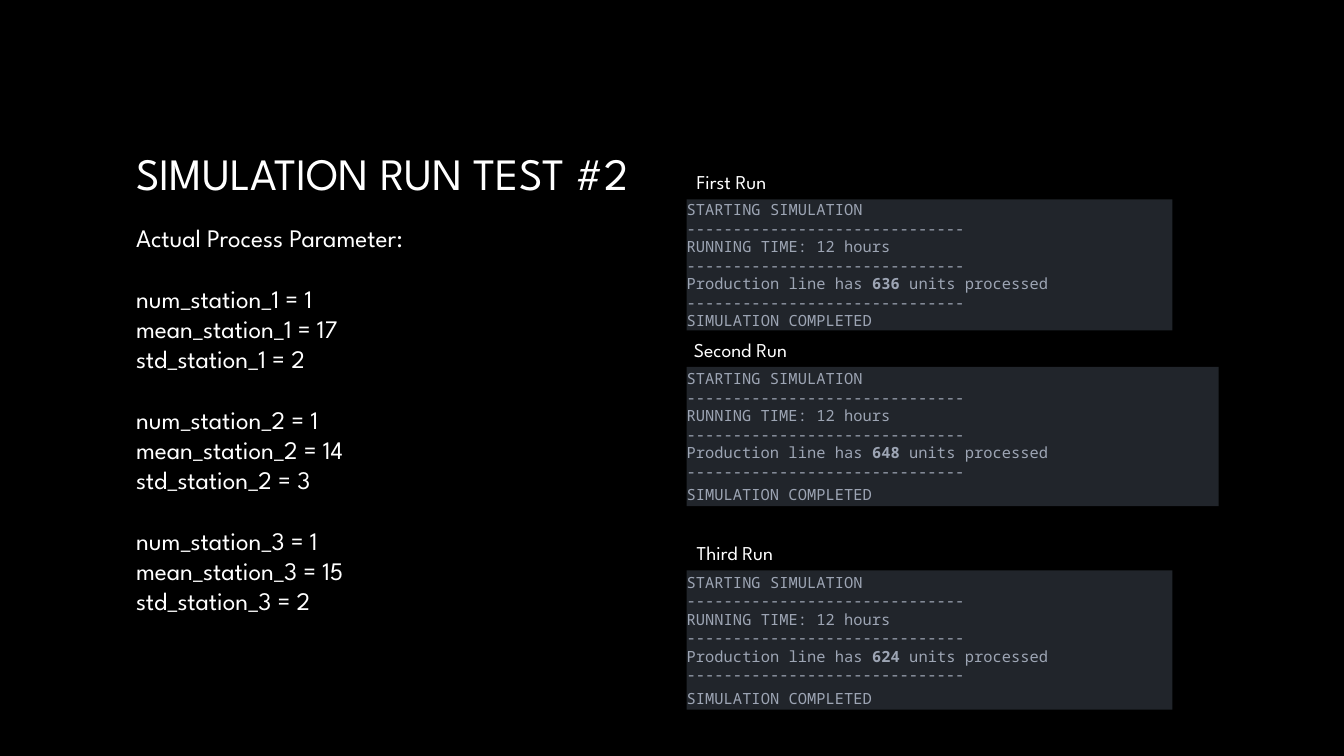
"""Build the slide on the second simulation run test."""
import pptx
import pptx.util
import pptx.dml.color
import pptx.enum.shapes
import pptx.enum.text
from pptx.oxml.xmlchemy import OxmlElement

Pt = pptx.util.Pt
RGB = pptx.dml.color.RGBColor
ALIGN = pptx.enum.text.PP_ALIGN
ANCHOR = pptx.enum.text.MSO_ANCHOR

BLACK = RGB(0x00, 0x00, 0x00)
WHITE = RGB(0xFF, 0xFF, 0xFF)
PANEL = RGB(0x21, 0x25, 0x2B)
GREY = RGB(0x9D, 0xA5, 0xB4)
SANS, MONO = "League Spartan", "Noto Sans Mono"

TITLE = "SIMULATION RUN TEST #2"
INTRO = "Actual Process Parameter:"
STATIONS = [(1, 17, 2), (1, 14, 3), (1, 15, 2)]
RULE = "-" * 30
# name, units, label left, panel top, panel width, panel height, last gap
RUNS = [
    ("First Run", "636", 490.5, 142.5, 347, 93.5, 0),
    ("Second Run", "648", 488.5, 262, 380, 99.5, 3.5),
    ("Third Run", "624", 490.5, 407.5, 347, 99.5, 3.5),
]
LEFT, LABEL_H = 490.5, 24.5


def style(par, face, size, color, gap=0):
    """Set the font and spacing of a paragraph."""
    par.font.name = face
    par.font.size = Pt(size)
    par.font.color.rgb = color
    par.alignment = ALIGN.LEFT
    par.space_before = Pt(gap)


def place(shape, x, y, w, h):
    """Move and size a shape."""
    shape.left, shape.top, shape.width, shape.height = map(Pt, (x, y, w, h))


def add_par(frame, index):
    """Return the first paragraph, or a new one after it."""
    return frame.add_paragraph() if index else frame.paragraphs[0]


def add_label(slide, name, x, y):
    """Add the heading above a panel."""
    box = slide.shapes.add_textbox(Pt(x), Pt(y), Pt(175.5), Pt(LABEL_H))
    box.text_frame.word_wrap = True
    par = box.text_frame.paragraphs[0]
    par.text = name
    style(par, SANS, 14, WHITE)


def add_panel(slide, units, y, w, h, gap):
    """Add the console output of a run."""
    kind = pptx.enum.shapes.MSO_SHAPE.RECTANGLE
    box = slide.shapes.add_shape(kind, Pt(LEFT), Pt(y), Pt(w), Pt(h))
    box.shadow.inherit = False
    box.fill.solid()
    box.fill.fore_color.rgb = PANEL
    box.line.fill.background()
    frame = box.text_frame
    frame.word_wrap = True
    frame.vertical_anchor = ANCHOR.MIDDLE
    frame.margin_left = frame.margin_right = 0
    frame.margin_top = frame.margin_bottom = 0
    lines = [
        ["STARTING SIMULATION"], [RULE],
        ["RUNNING TIME: 12 hours"], [RULE],
        ["Production line has ", units, " units processed"], [RULE],
        ["SIMULATION COMPLETED"],
    ]
    for i, parts in enumerate(lines):
        par = add_par(frame, i)
        style(par, MONO, 11, GREY, gap if i == len(lines) - 1 else 0)
        for part in parts:
            run = par.add_run()
            run.text = part
            if part == units:
                run.font.bold = True


def add_body(body):
    """Fill the list of process parameters."""
    place(body, 90, 155.5, 390, 291)
    frame = body.text_frame
    frame.auto_size = pptx.enum.text.MSO_AUTO_SIZE.NONE
    lines = [(INTRO, 0)]
    for n, values in enumerate(STATIONS, 1):
        for key, value in zip(("num", "mean", "std"), values):
            gap = 21.6 if key == "num" else 0
            lines.append((f"{key}_station_{n} = {value}", gap))
    for i, (text, gap) in enumerate(lines):
        par = add_par(frame, i)
        par.text = text
        style(par, SANS, 18, WHITE, gap)
        props = par._p.get_or_add_pPr()
        props.set("marL", "0")
        props.set("indent", "0")
        props.append(OxmlElement("a:buNone"))


def main():
    """Make the deck and save it."""
    deck = pptx.Presentation()
    deck.slide_width, deck.slide_height = Pt(960), Pt(540)
    slide = deck.slides.add_slide(deck.slide_layouts[1])
    slide.background.fill.solid()
    slide.background.fill.fore_color.rgb = BLACK
    title, body = slide.placeholders
    place(title, 90, 48, 400.5, 150)
    title.text_frame.text = TITLE
    title.text_frame.vertical_anchor = ANCHOR.MIDDLE
    style(title.text_frame.paragraphs[0], SANS, 32, WHITE)
    add_body(body)
    for name, units, x, y, w, h, gap in RUNS:
        add_panel(slide, units, y, w, h, gap)
        add_label(slide, name, x, y - LABEL_H)
    deck.save("out.pptx")


if __name__ == "__main__":
    main()
